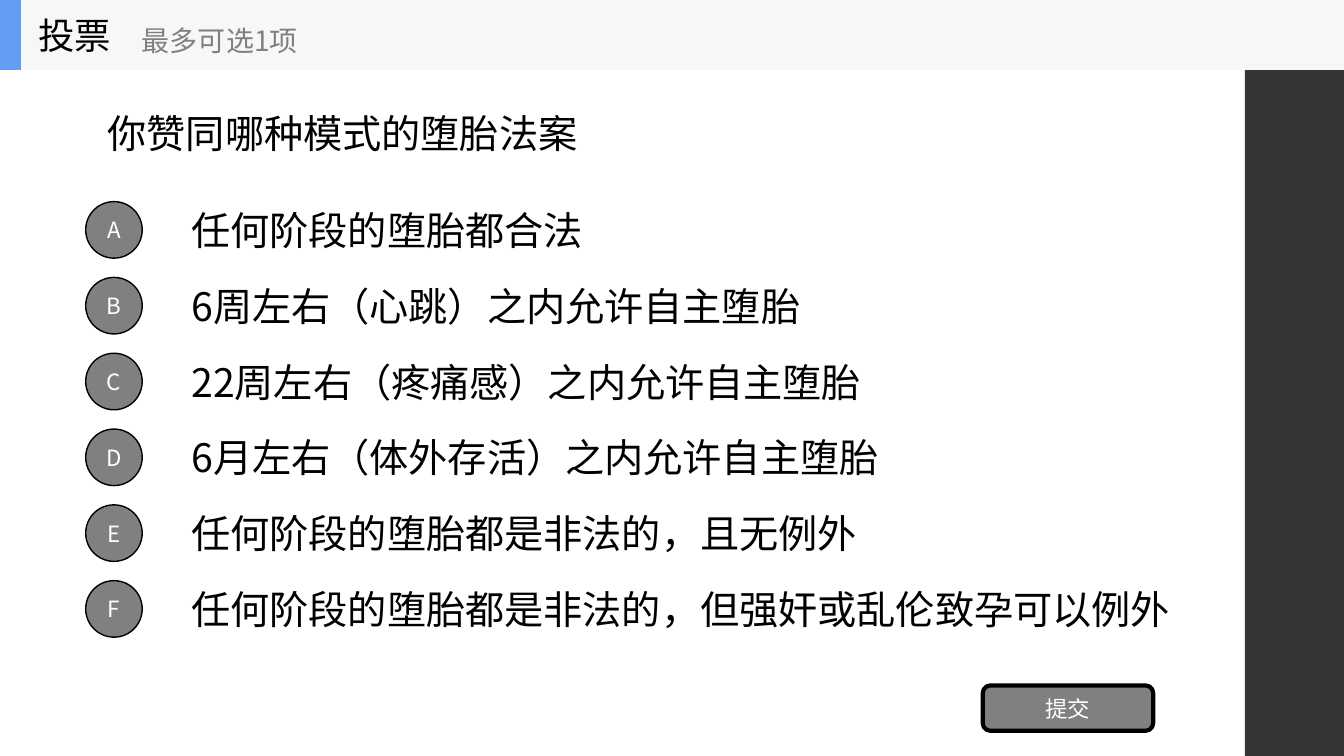
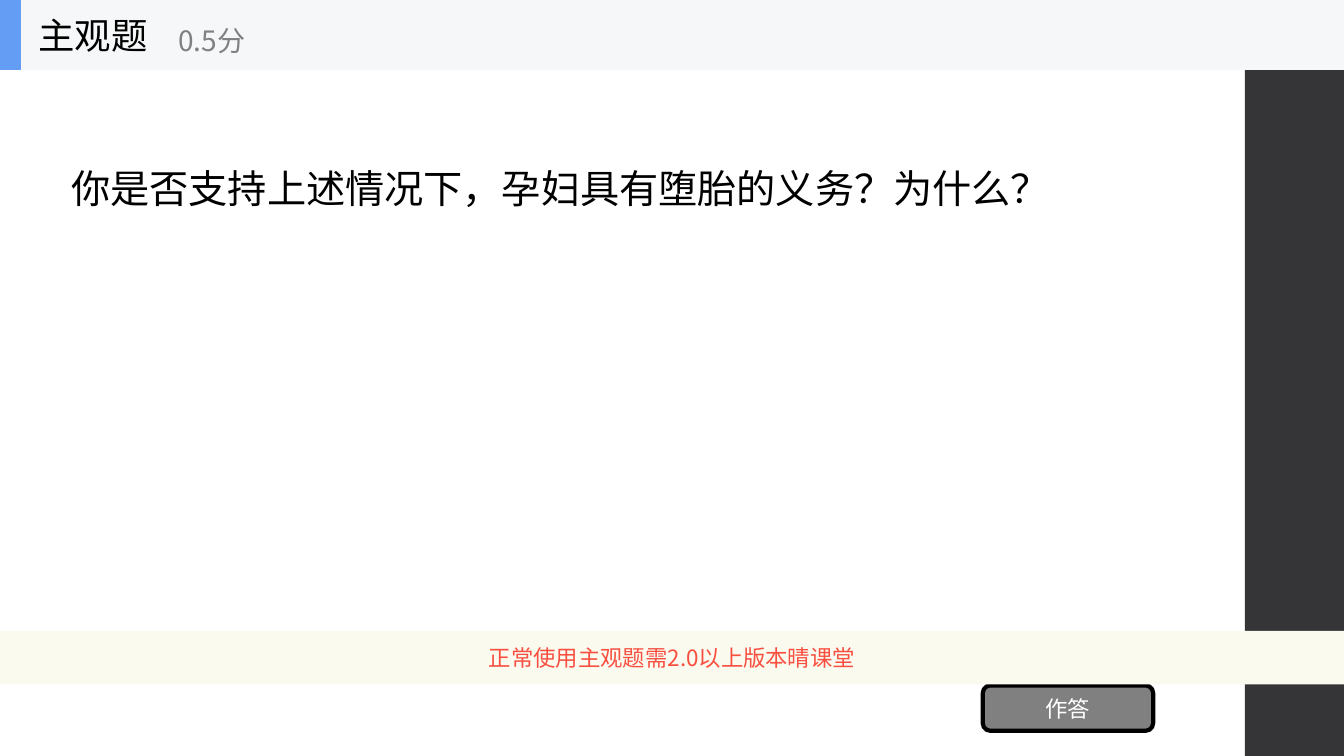
from lxml.etree import SubElement
from pptx import Presentation
from pptx.dml.color import RGBColor
from pptx.enum.shapes import MSO_SHAPE
from pptx.enum.text import MSO_ANCHOR, MSO_AUTO_SIZE, PP_ALIGN
from pptx.oxml.ns import qn
from pptx.util import Pt

SLIDE_W, SLIDE_H = 960, 540
HEADER_H = 50
PANEL_X = 889.2
BLACK, WHITE, GREY = "000000", "FFFFFF", "808080"
PANEL, BAND, ACCENT = "353537", "F6F7F8", "639EF4"
NOTICE_FILL, NOTICE_TEXT = "FBFAEF", "F84F41"

UI_FONT, CONTENT_FONT = "Noto Sans CJK SC", "Noto Sans CJK JP"
TITLE = {"name": UI_FONT, "size": Pt(26), "color": BLACK}
HINT = {"name": UI_FONT, "size": Pt(20), "color": GREY}
LABEL = {"name": UI_FONT, "size": Pt(16), "color": WHITE}
NOTICE = {**LABEL, "color": NOTICE_TEXT}
CONTENT = {"name": CONTENT_FONT, "size": Pt(28), "color": BLACK}

OPTIONS = [
    "任何阶段的堕胎都合法",
    "6周左右（心跳）之内允许自主堕胎",
    "22周左右（疼痛感）之内允许自主堕胎",
    "6月左右（体外存活）之内允许自主堕胎",
    "任何阶段的堕胎都是非法的，且无例外",
    "任何阶段的堕胎都是非法的，但强奸或乱伦致孕可以例外",
]
OPTION_Y, OPTION_H, OPTION_PITCH = 139, 50.4, 54.15
BADGE = 40.4


def rgb(color):
    return RGBColor.from_string(color)


def box(x, y, w, h):
    return [Pt(v) for v in (x, y, w, h)]


def write(shape, text, style, align=PP_ALIGN.LEFT):
    """Put one styled line of Chinese text, vertically centred, in a shape."""
    tf = shape.text_frame
    frame_format = {"word_wrap": True, "auto_size": MSO_AUTO_SIZE.NONE,
                    "vertical_anchor": MSO_ANCHOR.MIDDLE}
    for key, value in frame_format.items():
        setattr(tf, key, value)
    p = tf.paragraphs[0]
    p.alignment = align
    r = p.add_run()
    r.text = text
    for key, value in style.items():
        if key == "color":
            r.font.color.rgb = rgb(value)
        else:
            setattr(r.font, key, value)
    rPr = r.font._element
    rPr.set("lang", "zh-CN")
    SubElement(rPr, qn("a:ea"), typeface=style["name"])


def add_text(s, text, x, y, w, h, style):
    write(s.shapes.add_textbox(*box(x, y, w, h)), text, style)


def add_block(s, kind, x, y, w, h, fill, line_width=0):
    sp = s.shapes.add_shape(kind, *box(x, y, w, h))
    sp.shadow.inherit = False
    sp.fill.solid()
    sp.fill.fore_color.rgb = rgb(fill)
    if line_width:
        sp.line.color.rgb = rgb(BLACK)
        sp.line.width = Pt(line_width)
    else:
        sp.line.fill.background()
    return sp


def add_badge(s, letter, x, y):
    sp = add_block(s, MSO_SHAPE.OVAL, x, y, BADGE, BADGE, GREY, 1)
    for side in ("left", "top", "right", "bottom"):
        setattr(sp.text_frame, f"margin_{side}", 0)
    write(sp, letter, LABEL, PP_ALIGN.CENTER)


def add_button(s, text):
    sp = add_block(s, MSO_SHAPE.ROUNDED_RECTANGLE, 702, 489.6, 121.7, 32.4, GREY, 3)
    write(sp, text, LABEL, PP_ALIGN.CENTER)


def add_notice(s, text):
    sp = add_block(s, MSO_SHAPE.RECTANGLE, 0, 450.7, SLIDE_W, 38.2, NOTICE_FILL)
    write(sp, text, NOTICE, PP_ALIGN.CENTER)


def style_layout(layout, s):
    """Give the layout its title place, side panel and header bands.

    Layouts cannot create shapes, so they are made on slide s and moved.
    """
    for ph in list(layout.placeholders):
        if ph.placeholder_format.idx:
            ph.element.getparent().remove(ph.element)
    title = layout.placeholders[0]
    for key, value in zip(("left", "top", "width", "height"),
                          box(20.2, 0, 150, HEADER_H)):
        setattr(title, key, value)
    bands = [
        (PANEL_X, 0, SLIDE_W - PANEL_X, SLIDE_H, PANEL),
        (0, 0, SLIDE_W, HEADER_H, BAND),
        (0, 0, 15, HEADER_H, ACCENT),
    ]
    for band in bands:
        sp = add_block(s, MSO_SHAPE.RECTANGLE, *band)
        layout.shapes.element.append(sp.element)


def add_header(s, title, hint, hint_x):
    write(s.shapes.title, title, TITLE)
    add_text(s, hint, hint_x, 8.6, 180, 40.3, HINT)


def build_poll(s):
    add_header(s, "投票", "最多可选1项", 94.3)
    add_text(s, "你赞同哪种模式的堕胎法案", 69.8, 58.3, 768, 72.7, CONTENT)
    for i, (letter, option) in enumerate(zip("ABCDEF", OPTIONS)):
        y = OPTION_Y + i * OPTION_PITCH
        add_badge(s, letter, 61.2, y + (OPTION_H - BADGE) / 2)
        add_text(s, option, 129.6, y, 720, OPTION_H, CONTENT)
    add_button(s, "提交")


def build_essay(s):
    add_header(s, "主观题", "0.5分", 120.2)
    add_text(s, "你是否支持上述情况下，孕妇具有堕胎的义务？为什么？",
             43.9, 98.6, 790, 71.3, CONTENT)
    add_button(s, "作答")
    add_notice(s, "正常使用主观题需2.0以上版本晴课堂")


def main():
    prs = Presentation()
    prs.slide_width, prs.slide_height = Pt(SLIDE_W), Pt(SLIDE_H)
    layout = prs.slide_layouts.get_by_name("Title Only")
    poll, essay = [prs.slides.add_slide(layout) for _ in range(2)]
    style_layout(layout, poll)
    build_poll(poll)
    build_essay(essay)
    prs.save("out.pptx")


if __name__ == "__main__":
    main()
